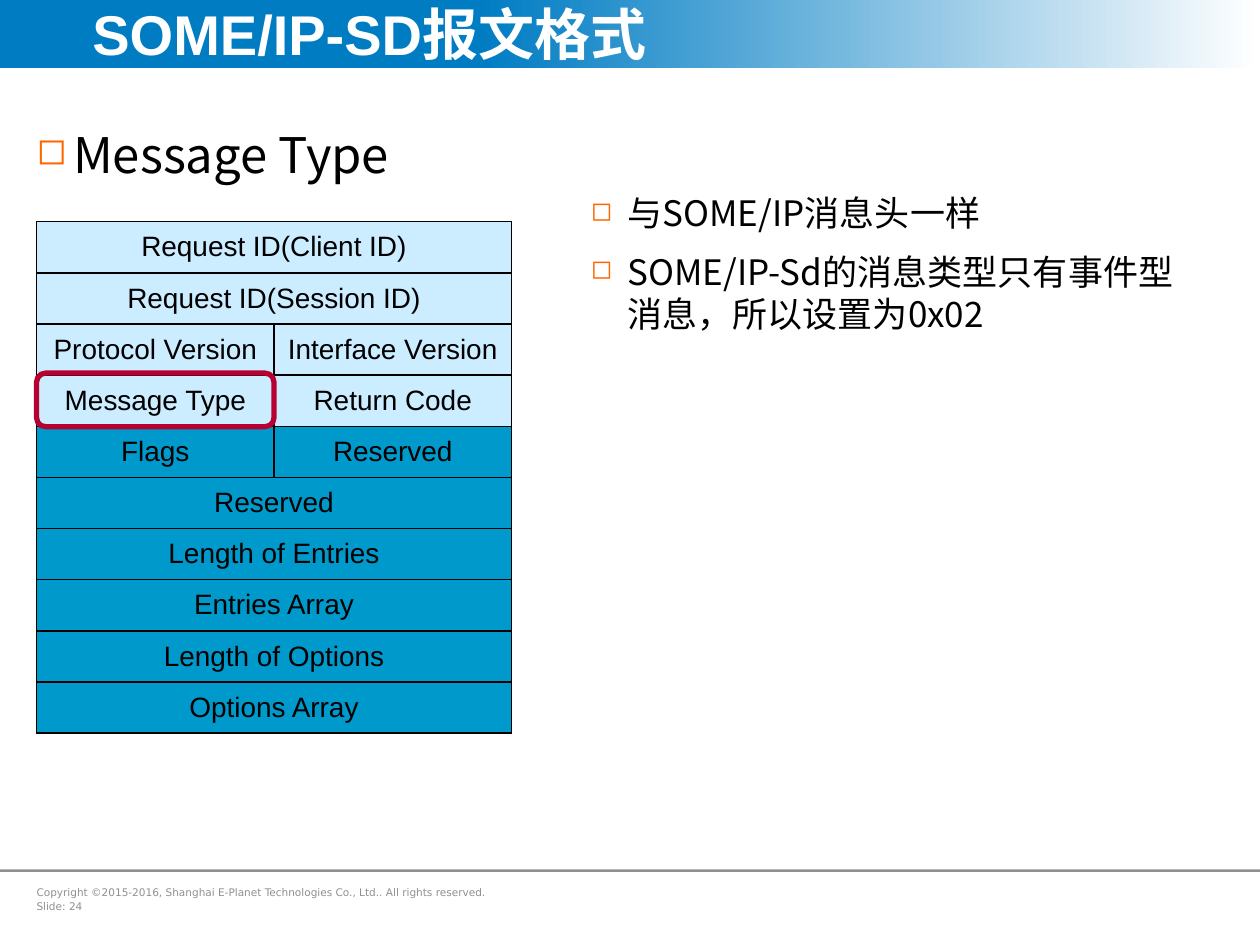
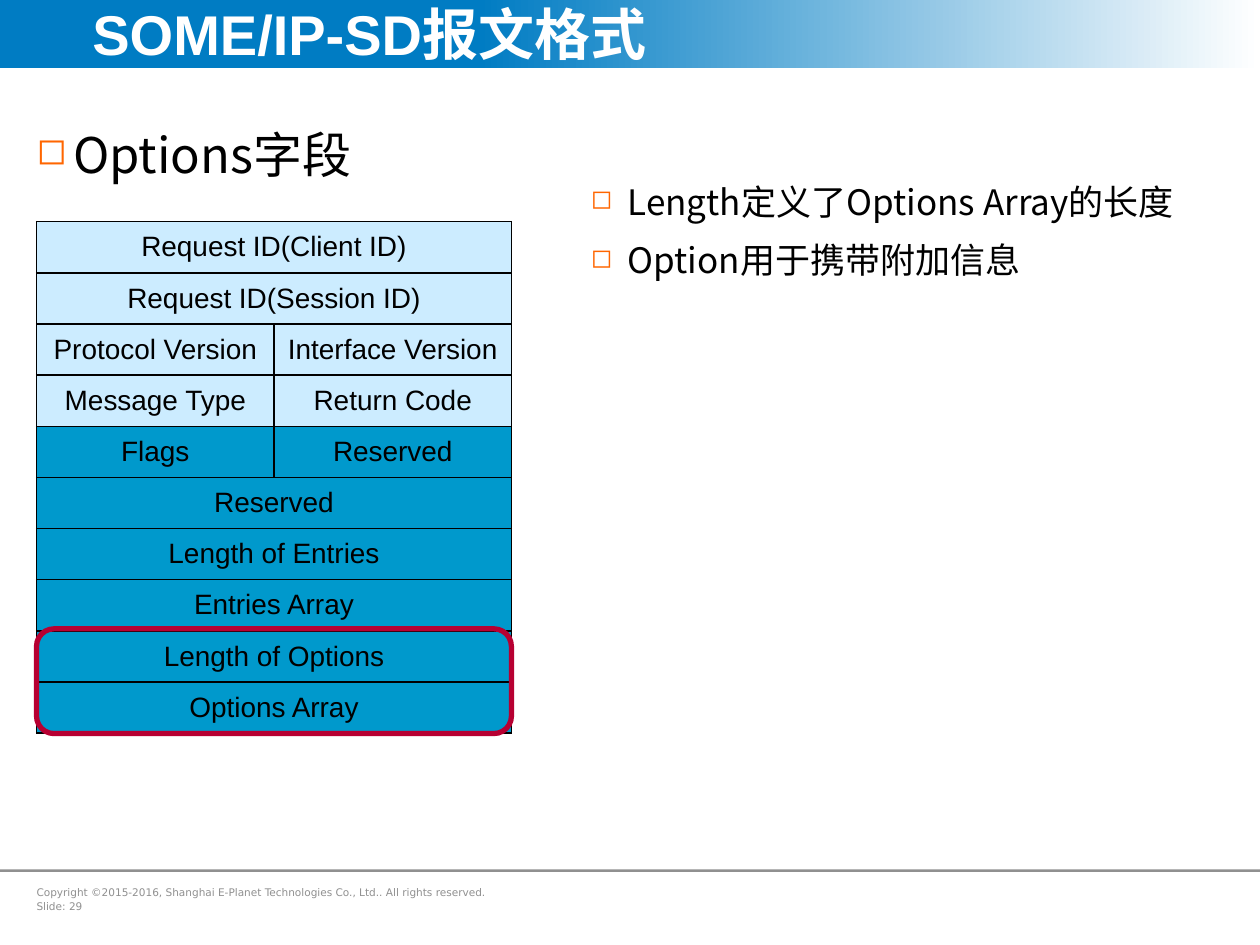
import pptx
import pptx.util
import pptx.dml.color
import pptx.enum.shapes
import pptx.enum.text
import pptx.oxml.ns
from lxml import etree

Pt = pptx.util.Pt
RGBColor = pptx.dml.color.RGBColor
RECTANGLE = pptx.enum.shapes.MSO_SHAPE.RECTANGLE
ROUNDED_RECTANGLE = pptx.enum.shapes.MSO_SHAPE.ROUNDED_RECTANGLE
MIDDLE = pptx.enum.text.MSO_ANCHOR.MIDDLE
ALIGN = pptx.enum.text.PP_ALIGN
qn = pptx.oxml.ns.qn

TITLE = "SOME/IP-SD报文格式"
COPYRIGHT = "Copyright ©2015-2016, Shanghai E-Planet Technologies Co., Ltd.. All rights reserved."
HEADER_ROWS = [
    ["Request ID(Client ID)"],
    ["Request ID(Session ID)"],
    ["Protocol Version", "Interface Version"],
    ["Message Type", "Return Code"],
]
PAYLOAD_ROWS = [
    ["Flags", "Reserved"],
    ["Reserved"],
    ["Length of Entries"],
    ["Entries Array"],
    ["Length of Options"],
    ["Options Array"],
]
SLIDES = [
    {
        "number": 24,
        "heading": "Message Type",
        "notes": ["与SOME/IP消息头一样", "SOME/IP-Sd的消息类型只有事件型消息，所以设置为0x02"],
        "notes_top": 105.8,
        "notes_height": 92,
        "marked": {"row": 3, "rows": 1, "columns": 1},
    },
    {
        "number": 29,
        "heading": "Options字段",
        "notes": ["Length定义了Options Array的长度", "Option用于携带附加信息"],
        "notes_top": 99.4,
        "notes_height": 92,
        "marked": {"row": 8, "rows": 2, "columns": 2},
    },
]

BAND_BLUE = RGBColor(0x00, 0x7C, 0xC3)
WHITE = RGBColor(0xFF, 0xFF, 0xFF)
BLACK = RGBColor(0x00, 0x00, 0x00)
GREY = RGBColor(0x90, 0x90, 0x90)
ORANGE = RGBColor(0xFF, 0x66, 0x00)
PALE_BLUE = RGBColor(0xCC, 0xEC, 0xFF)
DEEP_BLUE = RGBColor(0x00, 0x99, 0xCC)
MARK_RED = RGBColor(0xB7, 0x00, 0x32)

BODY_FONT = "Noto Sans CJK SC"
WIDTH, HEIGHT = 720, 540
LEFT = 20.9
TABLE_TOP = 126.7
COLUMN_WIDTH = 135.7
ROW_HEIGHT = 29.23
INDENT = 21


def set_font(paragraph, name, size, color, bold=False):
    font = paragraph.font
    font.name, font.size, font.bold = name, Pt(size), bold
    font.color.rgb = color


def add_bar(slide, top, height):
    bar = slide.shapes.add_shape(RECTANGLE, 0, Pt(top), Pt(WIDTH), Pt(height))
    bar.shadow.inherit = False
    bar.line.fill.background()
    slide.shapes.title.element.addprevious(bar.element)
    return bar


def add_text(slide, left, top, width, height, lines, margin):
    frame = slide.shapes.add_textbox(Pt(left), Pt(top), Pt(width), Pt(height)).text_frame
    frame.word_wrap = True
    frame.margin_left = Pt(margin)
    frame.text = "\n".join(lines)
    return frame.paragraphs


def add_bullets(slide, left, top, width, height, lines, size, margin):
    paragraphs = add_text(slide, left, top, width, height, lines, margin)
    for index, paragraph in enumerate(paragraphs):
        paragraph.line_spacing = Pt(round(size * 1.215, 1))
        paragraph.space_before = Pt(9 if index else 0)
        properties = paragraph._p.get_or_add_pPr()
        properties.set("marL", str(Pt(INDENT)))
        properties.set("indent", str(-Pt(INDENT)))
        color = etree.SubElement(properties, qn("a:buClr"))
        etree.SubElement(color, qn("a:srgbClr"), val=str(ORANGE))
        etree.SubElement(properties, qn("a:buSzPct"), val="75000")
        etree.SubElement(properties, qn("a:buChar"), char="◻")
        set_font(paragraph, BODY_FONT, size, BLACK)
        etree.SubElement(paragraph.font._element, qn("a:ea"), typeface=BODY_FONT)


def add_frame(slide, number):
    band = add_bar(slide, 0, 38.9)
    band.fill.gradient()
    band.fill.gradient_angle = 0
    for stop, position, color in zip(band.fill.gradient_stops, (0.38, 1), (BAND_BLUE, WHITE)):
        stop.position = position
        stop.color.rgb = color

    rule = add_bar(slide, 496.8, 1.4)
    rule.fill.solid()
    rule.fill.fore_color.rgb = GREY

    footer = add_text(slide, LEFT, 502.6, 276.5, 23, [COPYRIGHT, f"Slide: {number}"], 0)
    for index, paragraph in enumerate(footer):
        paragraph.space_before = Pt(1.2 if index else 0)
        set_font(paragraph, "DejaVu Sans", 6, GREY)

    title = slide.shapes.title
    title.left, title.top, title.width, title.height = Pt(43.9), 0, Pt(573.8), Pt(38.2)
    frame = title.text_frame
    frame.text = TITLE
    frame.auto_size = pptx.enum.text.MSO_AUTO_SIZE.NONE
    frame.vertical_anchor = MIDDLE
    frame.margin_left, frame.margin_right = Pt(8.9), 0
    frame.paragraphs[0].alignment = ALIGN.LEFT
    set_font(frame.paragraphs[0], "Arial", 32, WHITE, bold=True)


def format_cell(cell, color):
    properties = cell._tc.get_or_add_tcPr()
    for side in ("lnL", "lnR", "lnT", "lnB"):
        border = etree.SubElement(properties, qn(f"a:{side}"), w=str(Pt(1)))
        fill = etree.SubElement(border, qn("a:solidFill"))
        etree.SubElement(fill, qn("a:srgbClr"), val=str(BLACK))
    cell.fill.solid()
    cell.fill.fore_color.rgb = color
    cell.vertical_anchor = MIDDLE


def add_message_table(slide):
    rows = HEADER_ROWS + PAYLOAD_ROWS
    table = slide.shapes.add_table(
        len(rows), 2, Pt(LEFT), Pt(TABLE_TOP), Pt(2 * COLUMN_WIDTH), Pt(len(rows) * ROW_HEIGHT)
    ).table
    for column in table.columns:
        column.width = Pt(COLUMN_WIDTH)
    for index, labels in enumerate(rows):
        table.rows[index].height = Pt(ROW_HEIGHT)
        color = PALE_BLUE if index < len(HEADER_ROWS) else DEEP_BLUE
        for column in range(2):
            format_cell(table.cell(index, column), color)
        if len(labels) == 1:
            table.cell(index, 0).merge(table.cell(index, 1))
        for column, label in enumerate(labels):
            cell = table.cell(index, column)
            cell.text = label
            paragraph = cell.text_frame.paragraphs[0]
            paragraph.alignment = ALIGN.CENTER
            set_font(paragraph, "Arial", 16, BLACK)


def add_mark(slide, row, rows, columns):
    mark = slide.shapes.add_shape(
        ROUNDED_RECTANGLE,
        Pt(LEFT),
        Pt(TABLE_TOP + row * ROW_HEIGHT - 1.2),
        Pt(columns * COLUMN_WIDTH),
        Pt(rows * ROW_HEIGHT + 1.4),
    )
    mark.shadow.inherit = False
    mark.fill.background()
    mark.line.color.rgb = MARK_RED
    mark.line.width = Pt(3)


def main():
    presentation = pptx.Presentation()
    presentation.slide_width, presentation.slide_height = Pt(WIDTH), Pt(HEIGHT)
    for content in SLIDES:
        slide = presentation.slides.add_slide(presentation.slide_layouts[5])
        add_frame(slide, content["number"])
        add_bullets(slide, LEFT, 67, 665, 42, [content["heading"]], 28, 0)
        add_message_table(slide)
        add_bullets(
            slide, 330.5, content["notes_top"], 350, content["notes_height"], content["notes"], 20, 7.2
        )
        add_mark(slide, **content["marked"])
    presentation.save("out.pptx")


if __name__ == "__main__":
    main()
